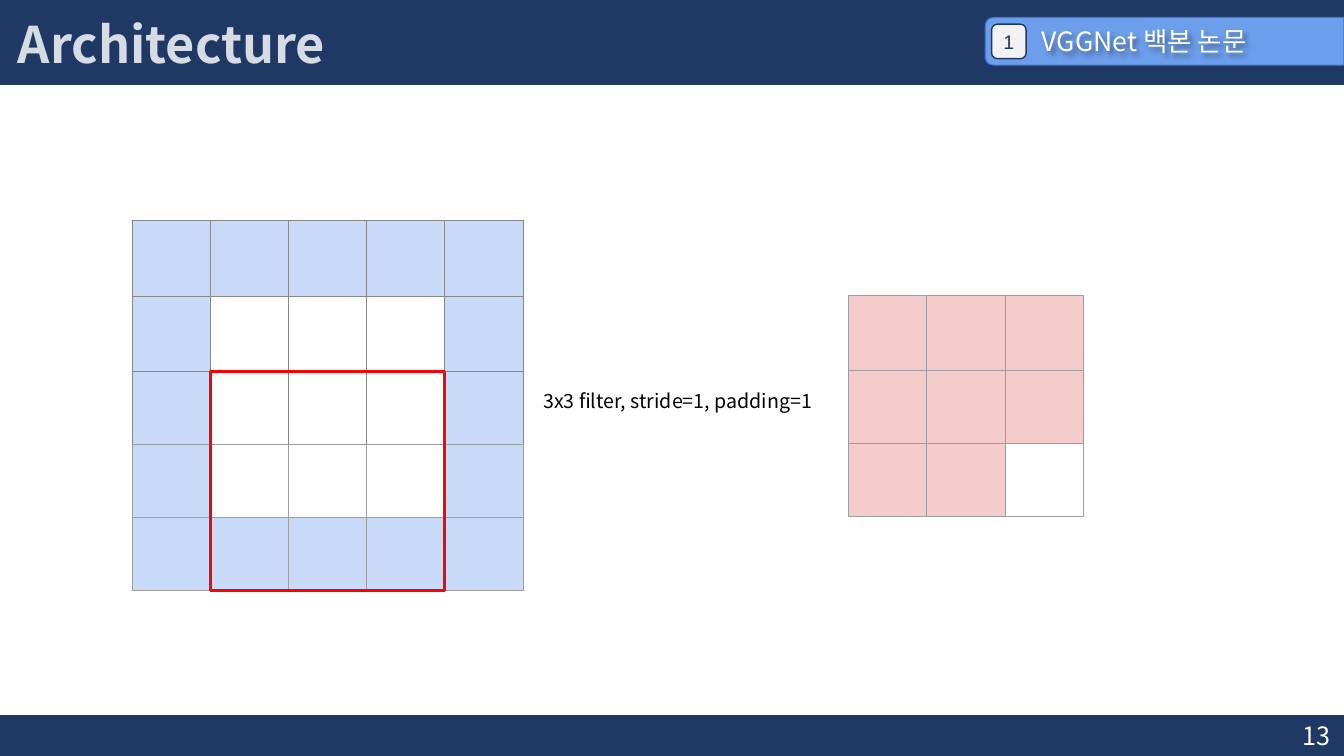
from lxml.etree import SubElement
from pptx import Presentation
from pptx.dml.color import RGBColor
from pptx.enum.shapes import MSO_SHAPE as SHAPE
from pptx.enum.text import MSO_ANCHOR as ANCHOR, PP_ALIGN as ALIGN
from pptx.oxml import parse_xml
from pptx.oxml.ns import nsdecls, qn
from pptx.util import Cm, Pt

TITLE = "Architecture"
SECTION_NUMBER = "1"
SECTION = "VGGNet 백본 논문"
FILTER_NOTE = "3x3 filter, stride=1, padding=1"
PAGE = "13"

SANS, NUMBER_FONT = "Noto Sans CJK KR", "Arial"
NAVY, WHITE, BLACK = "1F3864", "FFFFFF", "000000"
PADDING_FILL, OUTPUT_FILL = "C9DAF8", "F4CCCC"
DARK_RULE, LIGHT_RULE = "888888", "9E9E9E"

SLIDE_W, SLIDE_H = 33.87, 19.05
HEADER_H, FOOTER_H = 2.12, 1.02
CELL_W = 1.97
INPUT_AT, OUTPUT_AT = (3.33, 5.56), (21.39, 7.44)
INPUT_ROWS = [1.9, 1.9, 1.84, 1.84, 1.84]
OUTPUT_ROWS = [1.9, 1.84, 1.84]
WINDOW = 3

last = len(INPUT_ROWS) - 1
INPUT_CELLS = [[PADDING_FILL if {row, col} & {0, last} else None for col in range(last + 1)]
               for row in range(last + 1)]
OUTPUT_CELLS = [[OUTPUT_FILL] * 3, [OUTPUT_FILL] * 3, [OUTPUT_FILL] * 2 + [None]]
INPUT_RULES = [DARK_RULE] * 3 + [LIGHT_RULE] * 2
OUTPUT_RULES = [LIGHT_RULE] * 3

deck = Presentation()
deck.slide_width, deck.slide_height = Cm(SLIDE_W), Cm(SLIDE_H)
slide = deck.slides.add_slide(deck.slide_layouts[6])


def paint(color_format, color):
    color_format.rgb = RGBColor.from_string(color)


def set_fill(fill, color):
    if color:
        fill.solid()
        paint(fill.fore_color, color)
    else:
        fill.background()


def add_box(kind, box, fill, line, weight):
    shape = slide.shapes.add_shape(kind, *map(Cm, box))
    shape.shadow.inherit = False
    set_fill(shape.fill, fill)
    paint(shape.line.color, line)
    shape.line.width = Pt(weight)
    return shape


def write(shape, text, size, color, font=SANS, bold=False, align=ALIGN.LEFT,
          anchor=ANCHOR.TOP, inset=0.13, wrap=True):
    frame = shape.text_frame
    frame.word_wrap = wrap
    frame.vertical_anchor = anchor
    frame.margin_left = frame.margin_right = Cm(0.25)
    frame.margin_top = frame.margin_bottom = Cm(inset)
    paragraph = frame.paragraphs[0]
    paragraph.text = text
    paragraph.alignment = align
    style = paragraph.font
    style.name, style.size, style.bold = font, Pt(size), bold
    paint(style.color, color)
    SubElement(paragraph.runs[0].font._element, qn("a:ea"), typeface=font)
    return paragraph


def add_text(box, *content, **style):
    label = slide.shapes.add_textbox(*map(Cm, box))
    write(label, *content, **style)
    return label


def add_grid(at, row_heights, cells, rules):
    columns = len(cells[0])
    size = columns * CELL_W, sum(row_heights)
    grid = slide.shapes.add_table(len(cells), columns, *map(Cm, at + size)).table
    grid.first_row = grid.horz_banding = False
    for column in grid.columns:
        column.width = Cm(CELL_W)
    for r, (height, fills, rule) in enumerate(zip(row_heights, cells, rules)):
        grid.rows[r].height = Cm(height)
        for c, fill in enumerate(fills):
            cell = grid.cell(r, c)
            properties = cell._tc.get_or_add_tcPr()
            for side in "LRTB":
                properties.append(parse_xml(
                    f'<a:ln{side} {nsdecls("a")} w="{Pt(0.75)}"><a:solidFill>'
                    f'<a:srgbClr val="{rule}"/></a:solidFill></a:ln{side}>'))
            set_fill(cell.fill, fill)


for top, height in ((0, HEADER_H), (SLIDE_H - FOOTER_H, FOOTER_H)):
    add_box(SHAPE.RECTANGLE, (0, top, SLIDE_W, height), NAVY, NAVY, 1)

add_grid(INPUT_AT, INPUT_ROWS, INPUT_CELLS, INPUT_RULES)
window_at = INPUT_AT[0] + CELL_W, INPUT_AT[1] + sum(INPUT_ROWS[:-WINDOW])
window_size = WINDOW * CELL_W, sum(INPUT_ROWS[-WINDOW:])
add_box(SHAPE.RECTANGLE, window_at + window_size, None, "FF0000", 2.25)
add_grid(OUTPUT_AT, OUTPUT_ROWS, OUTPUT_CELLS, OUTPUT_RULES)

add_text((26.16, SLIDE_H - FOOTER_H, 7.62, FOOTER_H), PAGE, 18, WHITE, align=ALIGN.RIGHT)

tab = add_box(SHAPE.ROUND_2_SAME_RECTANGLE, (28.75, -3.48, 1.2, 9.04), "6D9EEB", "3C78D8", 0.75)
tab.rotation = 270
tab.adjustments[0], tab.adjustments[1] = 0.167, 0
section = add_text((26.01, 0.5, 7.8, 1.07), SECTION, 19, WHITE)
section._element.spPr.append(parse_xml(
    f'<a:effectLst {nsdecls("a")}><a:outerShdw blurRad="{Pt(4)}" dist="{Pt(3)}" dir="2700000">'
    '<a:srgbClr val="000000"><a:alpha val="40000"/></a:srgbClr></a:outerShdw></a:effectLst>'))
badge = add_box(SHAPE.ROUNDED_RECTANGLE, (24.99, 0.61, 0.87, 0.87), "F2F2F2", NAVY, 1)
badge.adjustments[0] = 0.167
write(badge, SECTION_NUMBER, 14, NAVY, font=NUMBER_FONT, align=ALIGN.CENTER,
      anchor=ANCHOR.MIDDLE, inset=0.25)

title = add_text((0.2, 0.08, 33.45, 1.93), TITLE, 36, "D6DCE5", bold=True, anchor=ANCHOR.BOTTOM)
title.text_frame.paragraphs[0].line_spacing = 0.9
add_text((13.44, 9.55, 7.67, 1.32), FILTER_NOTE, 14, BLACK, inset=0.25, wrap=False)

deck.save("out.pptx")
